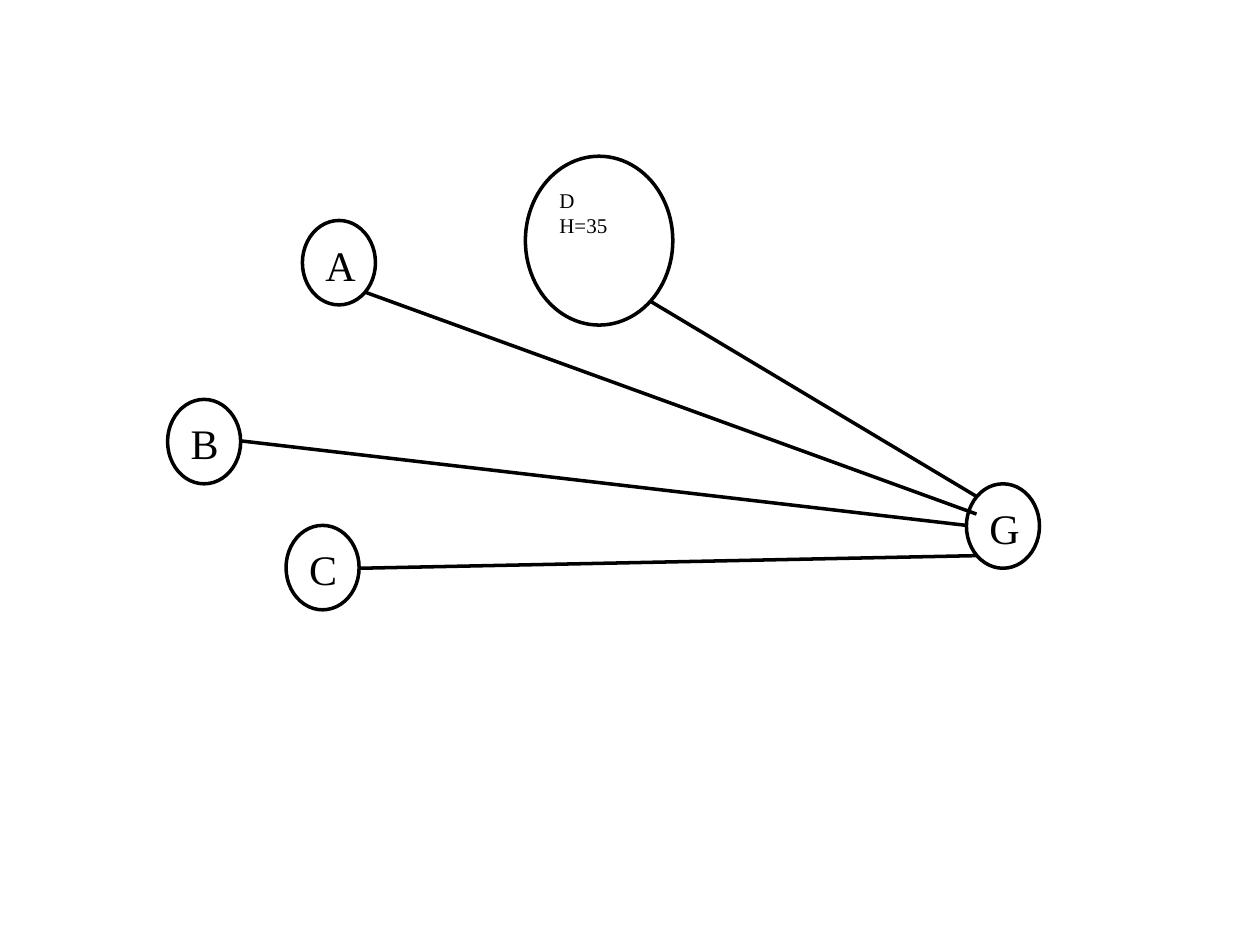
from dataclasses import dataclass

from lxml import etree
from pptx import Presentation
from pptx import util as u
from pptx.dml.color import RGBColor
from pptx.enum import shapes, text
from pptx.oxml.ns import qn


@dataclass(frozen=True)
class Theme:
    ink: RGBColor = RGBColor(0, 0, 0)
    font: str = "Times New Roman"
    letter: int = 24
    detail: int = 12
    stroke: int = 2


theme = Theme()
prs = Presentation()
prs.slide_width, prs.slide_height = u.Inches(10), u.Inches(7.5)
slide = prs.slides.add_slide(prs.slide_layouts[6])


def write(frame, lines, size, color=theme.ink, align=text.PP_ALIGN.LEFT):
    frame.word_wrap = True
    frame.vertical_anchor = text.MSO_ANCHOR.TOP
    for index, line in enumerate(lines):
        paragraph = frame.paragraphs[0] if index == 0 else frame.add_paragraph()
        paragraph.alignment = align
        run = paragraph.add_run()
        run.text = line
        run.font.name = theme.font
        run.font.size = u.Pt(size)
        run.font.color.rgb = color


small, large = (0.58, 0.67), (1.17, 1.34)
nodes = [
    (["A"], 2.4, 1.75, small, theme.letter),
    (["D", "H=35"], 4.17, 1.24, large, theme.detail),
    (["B"], 1.33, 3.17, small, theme.letter),
    (["C"], 2.27, 4.17, small, theme.letter),
    (["G"], 7.67, 3.84, small, theme.letter),
]
for lines, left, top, (width, height), size in nodes:
    node = slide.shapes.add_shape(
        shapes.MSO_SHAPE.OVAL,
        u.Inches(left), u.Inches(top), u.Inches(width), u.Inches(height),
    )
    node.shadow.inherit = False
    node.fill.background()
    node.line.color.rgb = theme.ink
    node.line.width = u.Pt(theme.stroke)
    write(node.text_frame, lines, size)

edges_to_g = [
    (2.9, 2.32, 7.75, 4.08),
    (5.16, 2.39, 7.75, 3.94),
    (1.92, 3.5, 7.67, 4.17),
    (2.86, 4.51, 7.75, 4.41),
]
for ends in edges_to_g:
    edge = slide.shapes.add_connector(
        shapes.MSO_CONNECTOR.STRAIGHT, *(u.Inches(value) for value in ends)
    )
    edge.line.color.rgb = theme.ink
    edge.line.width = u.Pt(theme.stroke)
    etree.SubElement(edge._element.spPr, qn("a:effectLst"))

prs.save("out.pptx")
